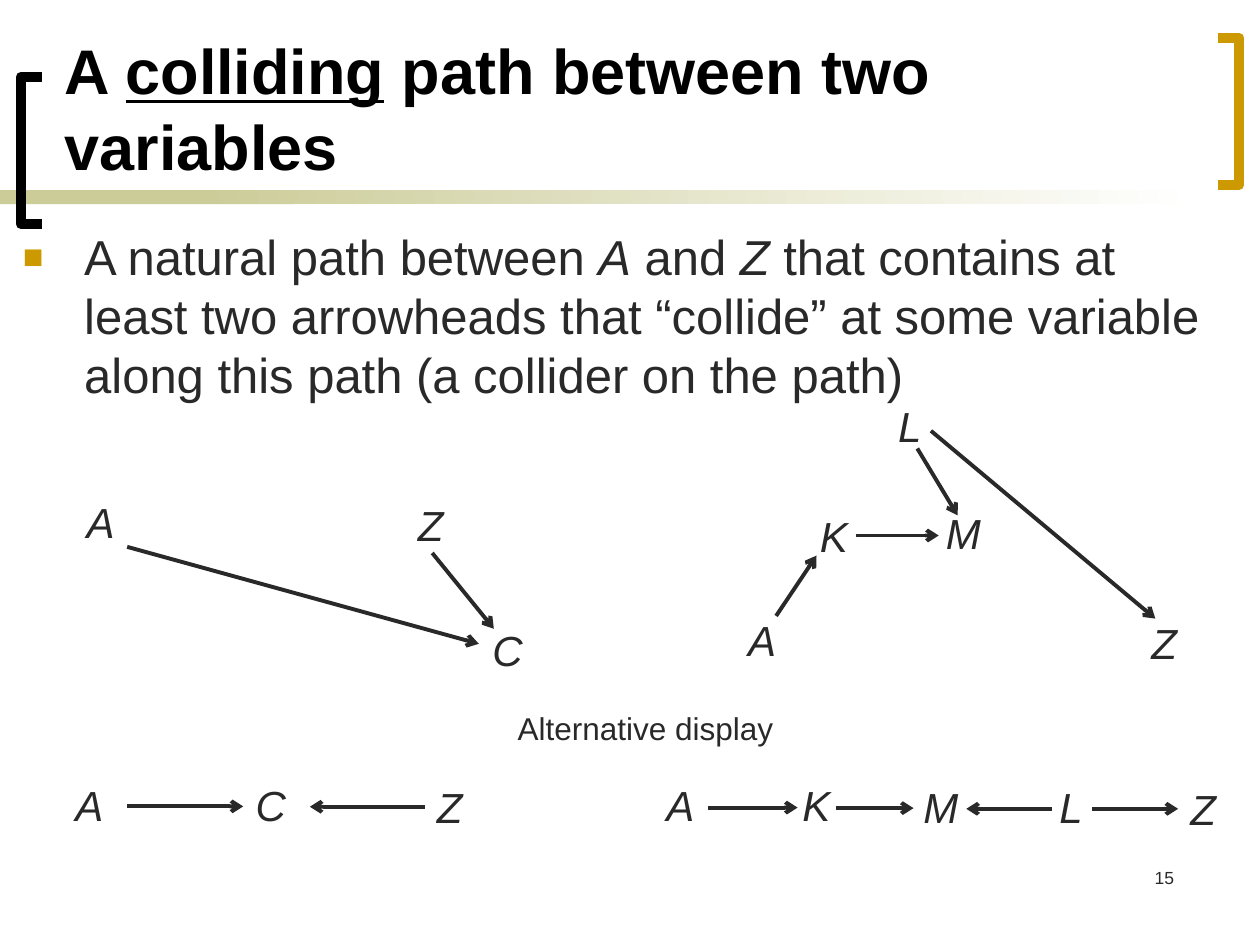
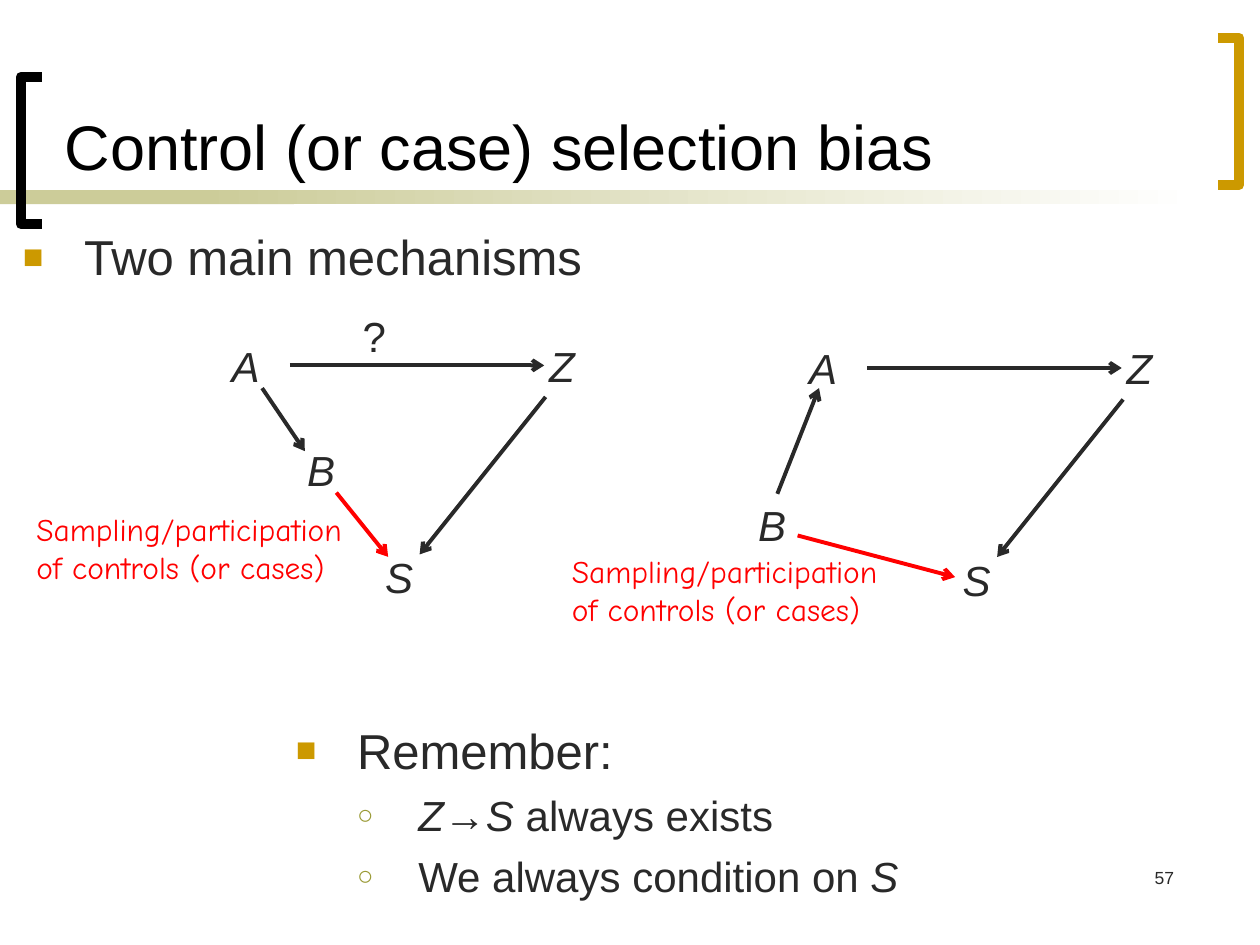
from pptx import Presentation
from pptx.dml.color import RGBColor
from pptx.enum.shapes import MSO_CONNECTOR as Connector, MSO_SHAPE as Shape
from pptx.enum.text import MSO_ANCHOR as Anchor, PP_ALIGN as Align
from pptx.oxml.ns import qn
from pptx.util import Pt
from lxml.etree import SubElement

BLACK = RGBColor(0x00, 0x00, 0x00)
INK = RGBColor(0x29, 0x29, 0x29)
GOLD = RGBColor(0xCC, 0x99, 0x00)
OLIVE = RGBColor(0x99, 0x99, 0x33)
SAND = RGBColor(0xCC, 0xCC, 0x99)
WHITE = RGBColor(0xFF, 0xFF, 0xFF)
RED = RGBColor(0xFF, 0x00, 0x00)

ITALIC = {"italic": True}
BOLD = {"bold": True}
TITLE = {"name": "Arial", "size": Pt(36), "color": BLACK}
BODY = {"name": "Arial", "size": Pt(28), "color": INK}
SUB = {"name": "Arial", "size": Pt(24), "color": INK}
NODE = SUB | ITALIC
CAPTION = {"name": "Arial", "size": Pt(18), "color": INK}
NOTE = {"name": "Comic Neue", "size": Pt(18), "color": RED}
NUMBER = {"name": "Arial", "size": Pt(10), "color": INK}

SQUARE = {"char": "■", "color": GOLD, "percent": 70, "left": 35, "hang": 35}
CIRCLE = {"char": "○", "color": OLIVE, "percent": 65, "left": 70, "hang": 35}

TITLE_AREA = (30, 8, 672, 100)
NUMBER_AREA = (528, 492, 150, 36)
BRACKETS = [(24, 12, 44, BLACK), (696, 708, 21.6, GOLD)]
BRACKET_HEIGHT = 84
BAND_TOP, BAND_HEIGHT = 108.7, 8
NODE_SIZE = (36, 36)

COLLIDING_TITLE = [("A ", BOLD), ("colliding", BOLD | {"underline": True}),
                   (" path between two variables", BOLD)]
COLLIDING_TEXT = [
    ("A natural path between ", {}), ("A", ITALIC), (" and ", {}), ("Z", ITALIC),
    (" that contains at least two arrowheads that “collide” at some variable "
     "along this path (a collider on the path)", {}),
]
COLLIDING_NODES = [
    ("A", 42.5, 280), ("Z", 231.8, 282.2), ("C", 274.3, 353.5),
    ("A", 420.5, 347.8), ("K", 461.5, 288), ("L", 506.2, 225.4),
    ("M", 533.5, 286.6), ("Z", 650.9, 349.2),
    ("A", 36, 442), ("C", 139, 442), ("Z", 242.6, 442.8),
    ("A", 373.7, 442), ("K", 451.4, 442), ("M", 520.6, 442.8),
    ("L", 598.3, 442.8), ("Z", 673.2, 444.2),
]
COLLIDING_ARROWS = [
    (247, 316, 282.2, 359.3), (72.7, 312.5, 273.6, 367.9),
    (443.5, 352, 466.6, 317.5), (488.9, 306, 536.4, 306),
    (524.2, 256.3, 547.2, 294.5), (532, 246.2, 660.2, 353.5),
    (72.7, 460.8, 139, 460.8), (242.6, 461, 177.1, 461),
    (404.6, 461.5, 455.8, 461.5), (478, 461.8, 522, 461.8),
    (601.2, 462.2, 552.2, 462.2), (624.2, 462.2, 673.2, 462.2),
]

TRIANGLE_SHIFTS = [(0, 0), (330, 1.5)]
TRIANGLE_NODES = [("A", 125.3, 190.8), ("Z", 306.7, 190.8), ("S", 213, 311.8)]
TRIANGLE_ARROWS = [(165.6, 208.8, 311, 208.8), (311.8, 226.8, 239.8, 316.8)]
B_NODES = [("B", 168.5, 250.6), ("B", 426.2, 282.2)]
B_ARROWS = [(149.8, 221.8, 174.2, 257.8), (444.2, 282.2, 468, 221.8)]
SAMPLING_ARROWS = [(192.2, 281.5, 221.8, 318.2), (455.8, 306, 545.8, 329.8)]
SAMPLING_TEXT = ["Sampling/participation", "of controls (or cases)"]
SAMPLING_SPOTS = [(13.7, 288), (319.7, 311.8)]
REMEMBER = [
    ([("Remember:", {})], BODY, SQUARE, 0),
    ([("Z", ITALIC), ("→", {}), ("S", ITALIC), (" always exists", {})], SUB, CIRCLE, 6),
    ([("We always condition on ", {}), ("S", ITALIC)], SUB, CIRCLE, 6),
]


def style_font(font, values):
    for key, value in values.items():
        if key == "color":
            font.color.rgb = value
        else:
            setattr(font, key, value)


def add_bullet(para, bullet):
    props = para._p.get_or_add_pPr()
    props.set("marL", str(Pt(bullet["left"])))
    props.set("indent", str(-Pt(bullet["hang"])))
    color = SubElement(props, qn("a:buClr"))
    SubElement(color, qn("a:srgbClr"), val=str(bullet["color"]))
    SubElement(props, qn("a:buSzPct"), val=str(bullet["percent"] * 1000))
    SubElement(props, qn("a:buFont"), typeface="Arial")
    SubElement(props, qn("a:buChar"), char=bullet["char"])


def add_text(page, area, paragraphs, anchor=Anchor.TOP, align=Align.LEFT):
    box = page.shapes.add_textbox(*map(Pt, area))
    frame = box.text_frame
    frame.word_wrap = True
    frame.vertical_anchor = anchor
    for index, (spans, style, bullet, before) in enumerate(paragraphs):
        para = frame.add_paragraph() if index else frame.paragraphs[0]
        para.alignment = align
        para.space_before = Pt(before)
        if bullet:
            add_bullet(para, bullet)
        for text, extra in spans:
            span = para.add_run()
            span.text = text
            style_font(span.font, style | extra)


def add_lines(page, area, lines, style, **layout):
    add_text(page, area, [([(line, {})], style, None, 0) for line in lines], **layout)


def add_nodes(page, nodes, shift=(0, 0)):
    for name, left, top in nodes:
        add_lines(page, (left + shift[0], top + shift[1], *NODE_SIZE), [name], NODE)


def add_arrows(page, arrows, color=INK, shift=(0, 0)):
    for x1, y1, x2, y2 in arrows:
        ends = (x1 + shift[0], y1 + shift[1], x2 + shift[0], y2 + shift[1])
        arrow = page.shapes.add_connector(Connector.STRAIGHT, *map(Pt, ends))
        arrow.line.color.rgb = color
        arrow.line.width = Pt(2.25)
        SubElement(arrow.line._get_or_add_ln(), qn("a:tailEnd"), type="arrow")
        SubElement(arrow._element.spPr, qn("a:effectLst"))


def add_band(page, left, width):
    band = page.shapes.add_shape(Shape.RECTANGLE, *map(Pt, (left, BAND_TOP, width, BAND_HEIGHT)))
    band.shadow.inherit = False
    band.line.fill.background()
    return band.fill


def add_bracket(page, tip, spine, top, color):
    bottom = top + BRACKET_HEIGHT
    builder = page.shapes.build_freeform(Pt(tip), Pt(top))
    corners = [(spine, top), (spine, bottom), (tip, bottom)]
    builder.add_line_segments([(Pt(x), Pt(y)) for x, y in corners], close=False)
    bracket = builder.convert_to_shape()
    bracket.shadow.inherit = False
    bracket.fill.background()
    bracket.line.color.rgb = color
    bracket.line.width = Pt(6)


def add_page(deck, title, number):
    page = deck.slides.add_slide(deck.slide_layouts[6])
    solid = add_band(page, 0, 168)
    solid.solid()
    solid.fore_color.rgb = SAND
    fade = add_band(page, 114, 570)
    fade.gradient()
    fade.gradient_angle = 0
    for stop, position, color in zip(fade.gradient_stops, (0, 1), (SAND, WHITE)):
        stop.position = position
        stop.color.rgb = color
    for bracket in BRACKETS:
        add_bracket(page, *bracket)
    add_lines(page, NUMBER_AREA, [number], NUMBER, align=Align.RIGHT)
    add_text(page, TITLE_AREA, [(title, TITLE, None, 0)], anchor=Anchor.BOTTOM)
    return page


def add_body(page, spans, height):
    add_text(page, (6, 126, 702, height), [(spans, BODY, SQUARE, 0)])


def build_colliding(deck):
    page = add_page(deck, COLLIDING_TITLE, "15")
    add_body(page, COLLIDING_TEXT, 126)
    add_nodes(page, COLLIDING_NODES)
    add_arrows(page, COLLIDING_ARROWS)
    add_lines(page, (288.7, 401.8, 165, 28.8), ["Alternative display"], CAPTION)


def build_selection(deck):
    page = add_page(deck, [("Control (or case) selection bias", {})], "57")
    add_body(page, [("Two main mechanisms", {})], 48)
    for shift in TRIANGLE_SHIFTS:
        add_nodes(page, TRIANGLE_NODES, shift)
        add_arrows(page, TRIANGLE_ARROWS, shift=shift)
    add_lines(page, (200.2, 174.2, *NODE_SIZE), ["?"], SUB)
    add_nodes(page, B_NODES)
    add_arrows(page, B_ARROWS)
    add_arrows(page, SAMPLING_ARROWS, RED)
    for spot in SAMPLING_SPOTS:
        add_lines(page, (*spot, 194, 50.4), SAMPLING_TEXT, NOTE)
    add_text(page, (162, 408, 390, 114), REMEMBER)


def main():
    deck = Presentation()
    deck.slide_width, deck.slide_height = Pt(720), Pt(540)
    build_colliding(deck)
    build_selection(deck)
    deck.save("out.pptx")


if __name__ == "__main__":
    main()
